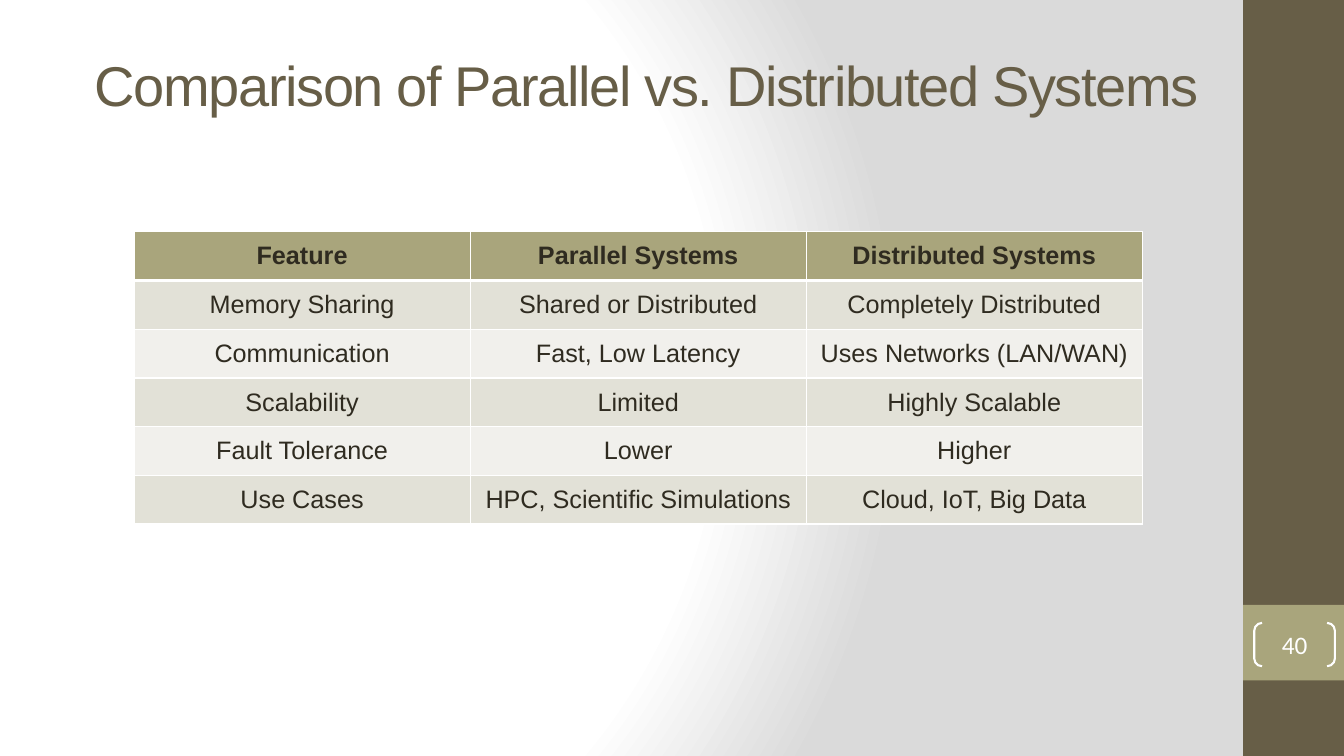
from typing import NamedTuple

from pptx import Presentation
from pptx.dml.color import RGBColor
from pptx.enum import shapes, text
from pptx.oxml import parse_xml
from pptx.oxml.ns import nsdecls
from pptx.util import Inches, Pt

BROWN, OLIVE, INK, WHITE = "675E47", "A9A57C", "2F2B20", "FFFFFF"
BANDS = ("E2E1D7", "F1F0EC")


class Panel(NamedTuple):
    top: float
    height: float
    color: str


class Row(NamedTuple):
    feature: str
    parallel: str
    distributed: str


SIDEBAR = [Panel(0, 7.5, BROWN), Panel(6, 0.75, OLIVE)]
COMPARISON = [
    Row("Feature", "Parallel Systems", "Distributed Systems"),
    Row("Memory Sharing", "Shared or Distributed", "Completely Distributed"),
    Row("Communication", "Fast, Low Latency", "Uses Networks (LAN/WAN)"),
    Row("Scalability", "Limited", "Highly Scalable"),
    Row("Fault Tolerance", "Lower", "Higher"),
    Row("Use Cases", "HPC, Scientific Simulations", "Cloud, IoT, Big Data"),
]


def paint(target, color: str) -> None:
    """Give a shape or cell a solid fill."""
    target.fill.solid()
    target.fill.fore_color.rgb = RGBColor.from_string(color)


def format_text(frame, size: float, font_name: str, color: str,
                align=text.PP_ALIGN.CENTER, bold: bool = False) -> None:
    paragraph = frame.paragraphs[0]
    paragraph.alignment = align
    font = paragraph.runs[0].font
    font.size, font.name, font.bold = Pt(size), font_name, bold
    font.color.rgb = RGBColor.from_string(color)


def set_background(slide) -> None:
    """Fade from white on the left to grey in a circle."""
    stops = "".join(
        f'<a:gs pos="{position * 1000}"><a:srgbClr val="{color}"/></a:gs>'
        for position, color in ((0, WHITE), (75, WHITE), (100, "DADADA")))
    slide.element.cSld.insert(0, parse_xml(
        f'<p:bg {nsdecls("p", "a")}><p:bgPr><a:gradFill rotWithShape="1">'
        f'<a:gsLst>{stops}</a:gsLst><a:path path="circle">'
        '<a:fillToRect l="20000" t="50000" r="100000" b="50000"/></a:path>'
        '</a:gradFill><a:effectLst/></p:bgPr></p:bg>'))


def add_sidebar(slide) -> None:
    for panel in SIDEBAR:
        block = slide.shapes.add_shape(
            shapes.MSO_SHAPE.RECTANGLE, Inches(12.33), Inches(panel.top),
            Inches(1), Inches(panel.height))
        block.shadow.inherit = False
        paint(block, panel.color)
        block.line.fill.background()


def add_title(slide) -> None:
    title = slide.shapes.title
    title.left, title.top = Inches(0.84), Inches(0.61)
    title.width, title.height = Inches(11.3), Inches(0.45)
    frame = title.text_frame
    frame.text = "Comparison of Parallel vs. Distributed Systems"
    frame.auto_size = text.MSO_AUTO_SIZE.NONE
    frame.vertical_anchor = text.MSO_ANCHOR.MIDDLE
    format_text(frame, 40, "Arial", BROWN, text.PP_ALIGN.LEFT)
    frame.paragraphs[0].runs[0].font._element.set("spc", "-100")


def add_page_number(slide) -> None:
    bracket = slide.shapes.add_shape(
        shapes.MSO_SHAPE.DOUBLE_BRACKET, Inches(12.44), Inches(6.18),
        Inches(0.8), Inches(0.43))
    bracket.adjustments[0] = 0.18
    bracket.shadow.inherit = False
    bracket.fill.background()
    bracket.line.color.rgb = RGBColor.from_string(WHITE)
    bracket.line.width = Pt(1.5)
    frame = bracket.text_frame
    frame.margin_left = frame.margin_right = 0
    frame.margin_top = frame.margin_bottom = 0
    frame.vertical_anchor = text.MSO_ANCHOR.MIDDLE
    frame.text = "40"
    format_text(frame, 18, "Calibri", WHITE)


def add_borders(cell, top: float, bottom: float) -> None:
    """Draw white cell borders, with top and bottom widths in points."""
    properties = cell._tc.get_or_add_tcPr()
    widths = {"lnL": 1, "lnR": 1, "lnT": top, "lnB": bottom}
    for index, (side, width) in enumerate(widths.items()):
        properties.insert(index, parse_xml(
            f'<a:{side} {nsdecls("a")} w="{Pt(width)}"><a:solidFill>'
            f'<a:srgbClr val="{WHITE}"/></a:solidFill></a:{side}>'))


def add_comparison(slide) -> None:
    table = slide.shapes.add_table(
        len(COMPARISON), len(Row._fields), Inches(1.33), Inches(2.3),
        Inches(10), Inches(2.9)).table
    for row_index, row in enumerate(COMPARISON):
        header = row_index == 0
        for column_index, wording in enumerate(row):
            cell = table.cell(row_index, column_index)
            cell.text_frame.text = wording
            cell.vertical_anchor = text.MSO_ANCHOR.MIDDLE
            format_text(cell.text_frame, 18, "Arial", INK, bold=header)
            paint(cell, OLIVE if header else BANDS[(row_index - 1) % 2])
            add_borders(cell, top=3 if row_index == 1 else 1,
                        bottom=3 if header else 1)


def main() -> None:
    deck = Presentation()
    deck.slide_width, deck.slide_height = Inches(13.33), Inches(7.5)
    slide = deck.slides.add_slide(deck.slide_layouts.get_by_name("Title Only"))
    set_background(slide)
    add_sidebar(slide)
    add_title(slide)
    add_page_number(slide)
    add_comparison(slide)
    deck.save("out.pptx")


if __name__ == "__main__":
    main()
